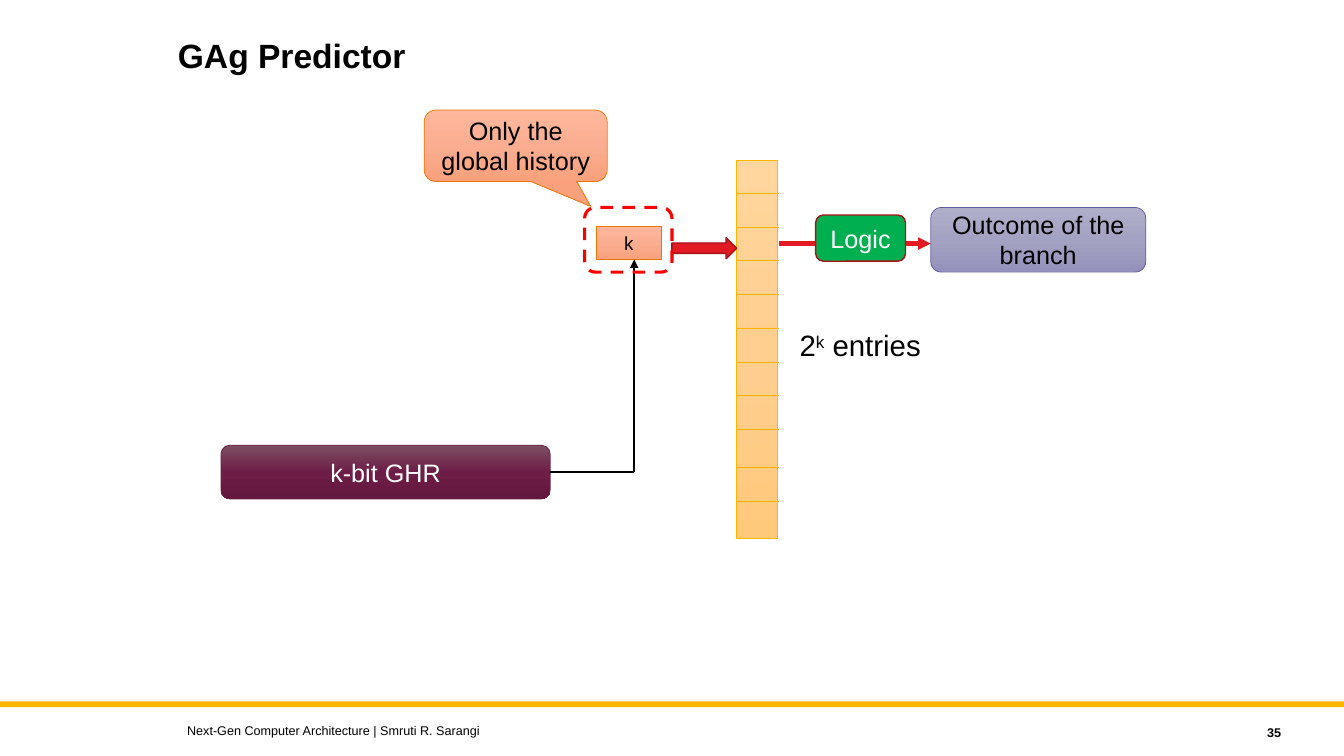
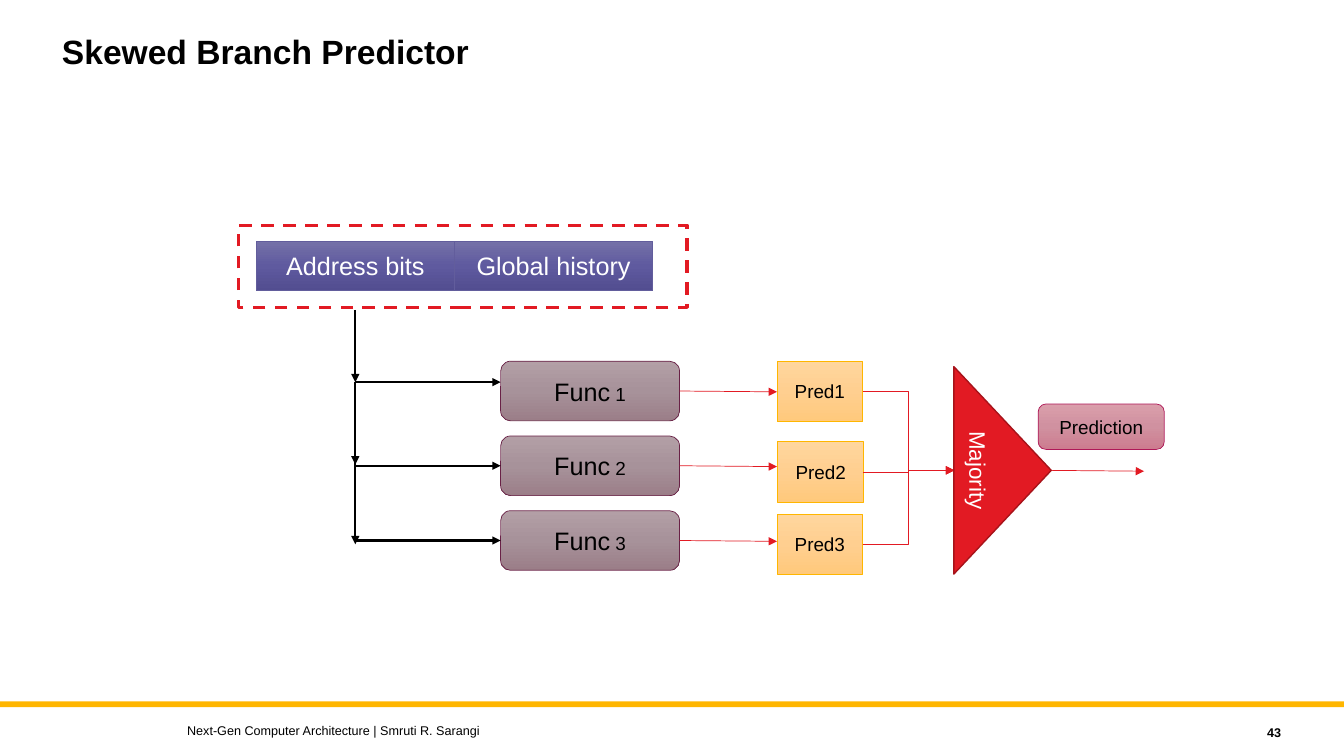
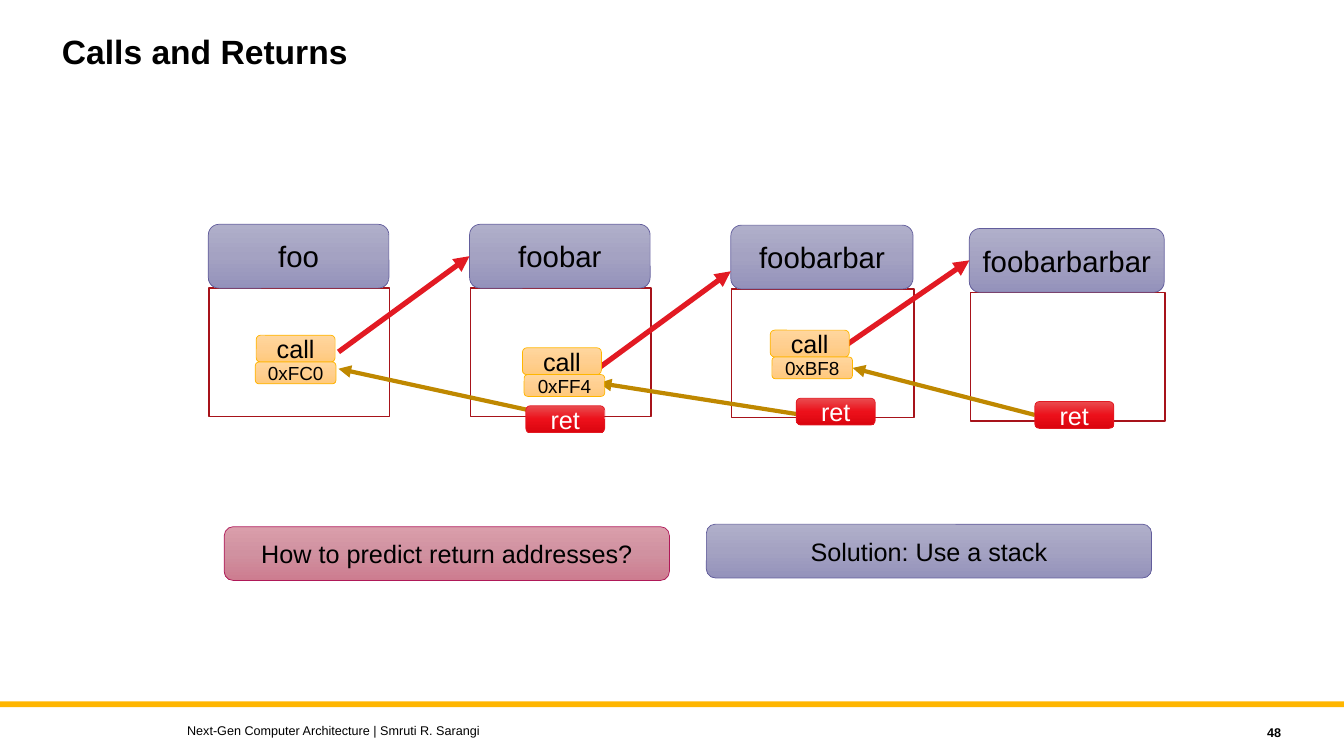
import copy

import lxml.etree
import pptx
import pptx.util
import pptx.dml.color
import pptx.enum.dml
import pptx.enum.shapes
import pptx.enum.text
import pptx.oxml.ns

SHAPE = pptx.enum.shapes.MSO_SHAPE
CONNECTOR = pptx.enum.shapes.MSO_CONNECTOR
ALIGN = pptx.enum.text.PP_ALIGN
ANCHOR = pptx.enum.text.MSO_ANCHOR

# Grid: 160 columns by 90 rows of square cells
COLUMNS, ROWS = 160, 90
CELL = pptx.util.Inches(7.5) // ROWS

COLORS = {
    "black": "000000", "white": "FFFFFF", "gold": "FFB600", "dark gold": "BF8800",
    "red": "E21A23", "dark red": "A7131A", "bright red": "FF0000", "green": "00B050",
    "violet": "625D9C", "plum": "692146", "orange": "EC7700", "magenta": "AF1858",
}

# Style: fill (one colour or three gradient stops), line, line width, text colour
STYLES = {
    "plain": ([], None, 0, "black"),
    "band": ([COLORS["gold"]], None, 0, "black"),
    "table": (["FFD69E", "FFCF90", "FFC97C"], "gold", 0.5, "black"),
    "lavender": (["B0AFCA", "A4A2C2", "9492BB"], "violet", 0.5, "black"),
    "indigo": (["7571A8", "5F5A9F", "524D90"], "violet", 0.5, "white"),
    "plum": (["7C4F62", "6D1D46", "64173E"], "plum", 0.5, "white"),
    "mauve": (["B39FA6", "A7929A", "9B7E88"], "plum", 0.5, "black"),
    "peach": (["FFB89D", "FAAD90", "F9A17C"], "orange", 0.5, "black"),
    "rose": (["DA9EAB", "D091A0", "CD7C8F"], "magenta", 0.5, "black"),
    "return": (["E94D50", "EC101A", "DB050F"], "red", 0.5, "white"),
    "logic": ([COLORS["green"]], "dark red", 1, "white"),
    "solid red": ([COLORS["red"]], "dark red", 1, "white"),
    "frame": ([], "dark red", 1, "black"),
    "red dashes": ([], "red", 2.25, "black"),
    "bright dashes": ([], "bright red", 2.25, "black"),
}


def box(slide, kind, x, y, w, h, style, text="", size=18, bold=False,
        align=ALIGN.CENTER, anchor=ANCHOR.MIDDLE, inset=1.2):
    """Place a shape, or a text box if kind is None, in grid cells."""
    place = [round(n * CELL) for n in (x, y, w, h)]
    fills, line, width, ink = STYLES[style]
    if kind is None:
        item = slide.shapes.add_textbox(*place)
    else:
        item = slide.shapes.add_shape(kind, *place)
        item.shadow.inherit = False
        if len(fills) == 3:
            item.fill.gradient()
            item.fill.gradient_angle = 270
            first = item._element.spPr.find(".//" + pptx.oxml.ns.qn("a:gs"))
            first.addnext(copy.deepcopy(first))
            for stop, color, position in zip(item.fill.gradient_stops, fills, (0, 0.5, 1)):
                stop.color.rgb = pptx.dml.color.RGBColor.from_string(color)
                stop.position = position
        elif fills:
            item.fill.solid()
            item.fill.fore_color.rgb = pptx.dml.color.RGBColor.from_string(fills[0])
        else:
            item.fill.background()
        if line:
            item.line.color.rgb = pptx.dml.color.RGBColor.from_string(COLORS[line])
            item.line.width = pptx.util.Pt(width)
        else:
            item.line.fill.background()
        if style.endswith("dashes"):
            item.line.dash_style = pptx.enum.dml.MSO_LINE.DASH
    if text:
        frame = item.text_frame
        frame.word_wrap = True
        frame.vertical_anchor = anchor
        frame.margin_left = frame.margin_right = round(inset * CELL)
        paragraph = frame.paragraphs[0]
        paragraph.text = text
        paragraph.alignment = align
        paragraph.font.name = "Arial"
        paragraph.font.size = pptx.util.Pt(size)
        paragraph.font.bold = bold
        paragraph.font.color.rgb = pptx.dml.color.RGBColor.from_string(COLORS[ink])
    return item


def link(slide, start, end, color, width, head=True, kind=CONNECTOR.STRAIGHT):
    """Draw a line between two grid points, with an arrowhead at its end."""
    item = slide.shapes.add_connector(kind, *[round(n * CELL) for n in (*start, *end)])
    item.line.color.rgb = pptx.dml.color.RGBColor.from_string(COLORS[color])
    item.line.width = pptx.util.Pt(width)
    properties = item._element.spPr
    if head:
        outline = properties.find(pptx.oxml.ns.qn("a:ln"))
        lxml.etree.SubElement(outline, pptx.oxml.ns.qn("a:tailEnd"), type="triangle")
    lxml.etree.SubElement(properties, pptx.oxml.ns.qn("a:effectLst"))
    return item


deck = pptx.Presentation()
deck.slide_width, deck.slide_height = COLUMNS * CELL, ROWS * CELL

# Shared parts: band, title, footer and page number
slides = []
for title, number, x, y in (("GAg Predictor", "35", 20, 4.1),
                            ("Skewed Branch Predictor", "43", 6.2, 3.6),
                            ("Calls and Returns", "48", 6.2, 3.6)):
    slide = deck.slides.add_slide(deck.slide_layouts[6])
    box(slide, SHAPE.RECTANGLE, 0, 83.5, COLUMNS, 0.7, "band")
    heading = box(slide, None, x, y, 120, 11, "plain", title, 24, True, ALIGN.LEFT, ANCHOR.TOP)
    heading.text_frame.paragraphs[0].line_spacing = 0.9
    box(slide, None, 21.1, 85.4, 96, 3, "plain",
        "Next-Gen Computer Architecture | Smruti R. Sarangi", 9, align=ALIGN.LEFT)
    box(slide, None, 136.9, 85.7, 16.8, 3, "plain", number, 9, True, ALIGN.RIGHT)
    slides.append(slide)
gag, skewed, calls = slides

# GAg predictor: table of entries
box(gag, SHAPE.RECTANGLE, 87.7, 19.1, 4.9, 45, "table")
for y in [23 + 4.02 * row for row in range(8)] + [55.7, 59.7]:
    link(gag, (87.7, y), (92.7, y), "gold", 0.5, head=False)
entries = box(gag, None, 94, 38.4, 17.2, 5.4, "plain", "2", 21, align=ALIGN.LEFT, anchor=ANCHOR.TOP)
entries.text_frame.word_wrap = False
exponent = entries.text_frame.paragraphs[0].add_run()
exponent.text = "k"
exponent.font._element.set("baseline", "30000")
entries.text_frame.paragraphs[0].add_run().text = " entries"

# GAg predictor: outcome logic
box(gag, SHAPE.ROUNDED_RECTANGLE, 110.8, 24.7, 25.6, 7.7, "lavender", "Outcome of the branch")
link(gag, (92.7, 29), (110.8, 29), "red", 3)
box(gag, SHAPE.ROUNDED_RECTANGLE, 97.1, 25.6, 10.7, 5.5, "logic", "Logic")

# GAg predictor: history register feeding the index
register = box(gag, SHAPE.ROUNDED_RECTANGLE, 26.3, 53, 39.2, 6.4, "plum", "k-bit GHR")
box(gag, SHAPE.RECTANGLE, 71, 27, 7.7, 3.9, "peach", "k", 13.5)
link(gag, (75.5, 56.2), (75.5, 30.9), "black", 1.5)
link(gag, (65.5, 56.2), (75.5, 56.2), "black", 1.5, head=False).begin_connect(register, 3)
box(gag, SHAPE.RIGHT_ARROW, 80, 28.3, 7.7, 2.5, "solid red")
box(gag, SHAPE.ROUNDED_RECTANGLE, 69.6, 24.7, 10.4, 7.7, "bright dashes")
callout = box(gag, SHAPE.ROUNDED_RECTANGULAR_CALLOUT, 50.5, 13.1, 21.8, 8.5, "peach",
              "Only the global history")
callout.adjustments[0], callout.adjustments[1] = 0.41, 0.85

# Skewed predictor: inputs
for x, text in ((30.5, "Address bits"), (54.1, "Global history")):
    box(skewed, SHAPE.RECTANGLE, x, 28.7, 23.6, 5.9, "indigo", text)
box(skewed, SHAPE.RECTANGLE, 28.4, 26.8, 53.4, 9.8, "red dashes")

# Skewed predictor: one lane per hash function
trunk = 42.3
lanes = ((36.9, 45.5, 43, 92.5), (45.5, 55.3, 52.6, 92.6), (54.7, 64.8, 61.2, 92.5))
for lane, (top, bottom, pred_top, pred_left) in enumerate(lanes):
    func_top = 43 + 8.9 * lane
    middle = func_top + 3.55
    func = box(skewed, SHAPE.ROUNDED_RECTANGLE, 59.6, func_top, 21.3, 7.1, "mauve", "Func")
    index = func.text_frame.paragraphs[0].add_run()
    index.text = f" {lane + 1}"
    index.font.size = pptx.util.Pt(13.5)
    link(skewed, (trunk, top), (trunk, bottom), "black", 1.5)
    branch_y = middle if lane else bottom
    branch = link(skewed, (trunk, branch_y), (59.6, branch_y), "black", 1.5)
    if lane:
        branch.end_connect(func, 1)
    link(skewed, (80.9, middle), (92.5, middle + 0.1), "red", 0.5).begin_connect(func, 3)
    box(skewed, SHAPE.RECTANGLE, pred_left, pred_top, 10.2, 7.2, "table", f"Pred{lane + 1}", 13.5)
    link(skewed, (pred_left + 10.2, pred_top + 3.6), (113.6, 56), "red", 0.5, kind=CONNECTOR.ELBOW)

# Skewed predictor: majority vote
majority = box(skewed, SHAPE.ISOSCELES_TRIANGLE, 107, 50.2, 24.7, 11.6, "solid red", "Majority", 16)
majority.rotation = 90
link(skewed, (125.2, 56), (136.2, 56.1), "red", 0.5)
box(skewed, SHAPE.ROUNDED_RECTANGLE, 123.6, 48.1, 15, 5.4, "rose", "Prediction", 13.5)

# Calls and returns: functions with their bodies
functions = []
for name, x, y, w in (("foo", 24.8, 26.7, 21.5), ("foobar", 55.9, 26.7, 21.5),
                      ("foobarbar", 87, 26.8, 21.7), ("foobarbarbar", 115.4, 27.2, 23.2)):
    box(calls, SHAPE.RECTANGLE, x + 0.1, y + 7.6, w, 15.3, "frame")
    functions.append(box(calls, SHAPE.ROUNDED_RECTANGLE, x, y, w, 7.6, "lavender", name, 21, inset=0.6))

# Calls and returns: control flow
call_arrows = [link(calls, start, end, "red", 3.75) for start, end in (
    ((40.3, 41.9), (55.9, 30.5)), ((71.3, 43.8), (87, 32.3)), ((99.4, 42), (115.4, 31)))]
call_arrows[0].end_connect(functions[1], 1)
call_arrows[2].end_connect(functions[3], 1)
return_arrows = [link(calls, start, end, "dark gold", 3) for start, end in (
    ((66.5, 49.6), (40.3, 43.9)), ((96.8, 49.6), (71.3, 45.6)), ((123.2, 49.4), (101.5, 43.8)))]

# Calls and returns: instructions and return addresses
for address, x, y, call_left in (("0xFC0", 30.4, 39.9, 30.5), ("0xFF4", 62.4, 41.4, 62.2),
                                 ("0xBF8", 91.9, 39.3, 91.7)):
    box(calls, SHAPE.ROUNDED_RECTANGLE, call_left, y, 9.4, 3.2, "table", "call")
    box(calls, SHAPE.ROUNDED_RECTANGLE, x, y + 3.2, 9.6, 2.6, "table", address, 13.5)
rets = [box(calls, SHAPE.ROUNDED_RECTANGLE, x, y, 9.4, 3.2, "return", "ret")
        for x, y in ((62.6, 48.3), (94.8, 47.4), (123.2, 47.8))]
return_arrows[2].begin_connect(rets[2], 1)

# Calls and returns: question and answer
for text, x, y, style in (("How to predict return addresses?", 26.7, 62.7, "rose"),
                          ("Solution: Use a stack", 84.1, 62.4, "lavender")):
    box(calls, SHAPE.ROUNDED_RECTANGLE, x, y, 53, 6.4, style, text)

deck.save("out.pptx")
